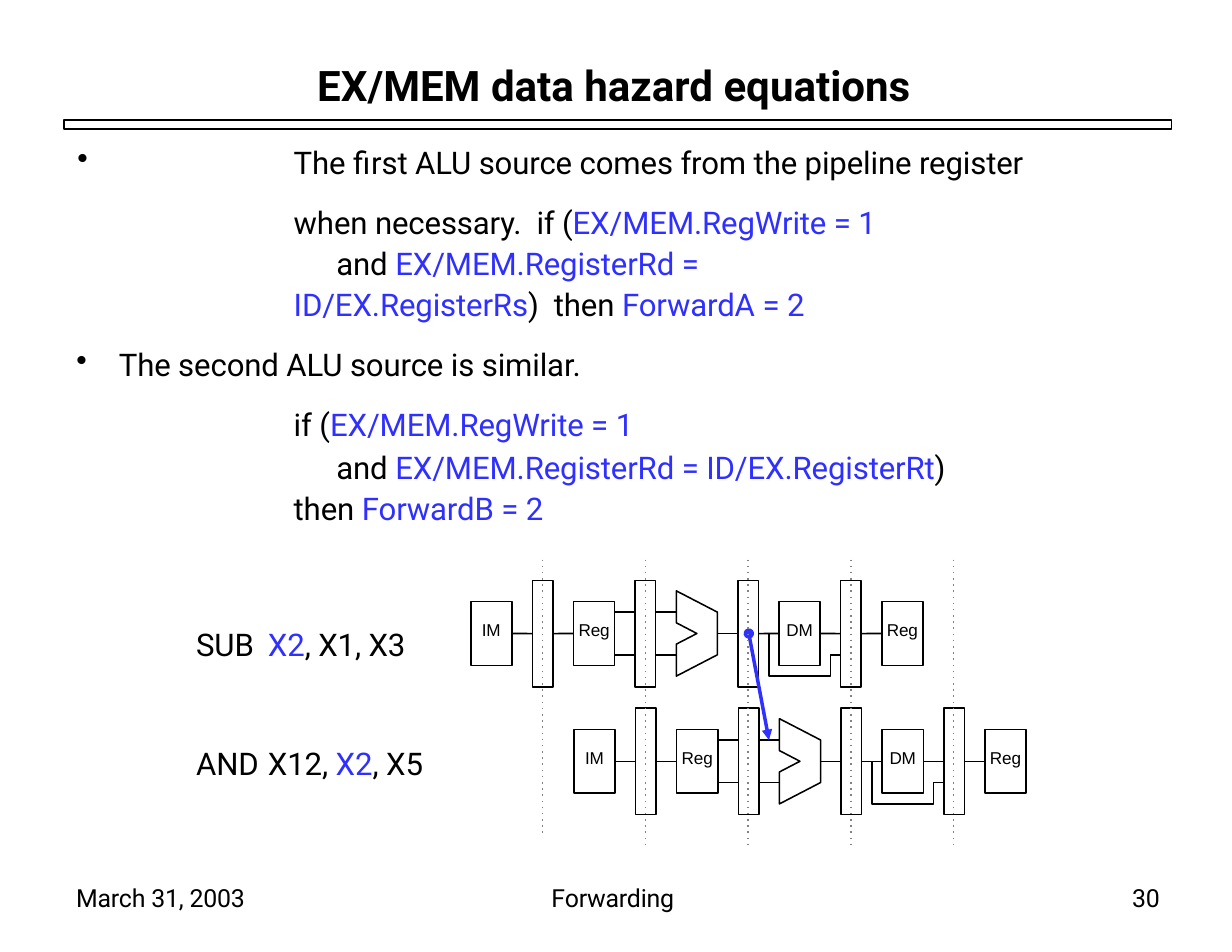
import lxml.etree
import pptx
import pptx.dml.color
import pptx.enum.dml
import pptx.enum.shapes
import pptx.enum.text
import pptx.oxml.ns
import pptx.util

Inches = pptx.util.Inches
Pt = pptx.util.Pt
qn = pptx.oxml.ns.qn
BLACK, BLUE, GREY = "000000", "2F2FFF", "828282"


def paint(target, color):
    target.rgb = pptx.dml.color.RGBColor.from_string(color)


def write(para, runs, size, font="Roboto", bold=False):
    for text, color in runs:
        span = para.add_run()
        span.text = text
        for name, value in {"size": Pt(size), "name": font, "bold": bold}.items():
            setattr(span.font, name, value)
        paint(span.font.color, color)
        if not bold:
            span.font._element.set("spc", "-10")


deck = pptx.Presentation()
deck.slide_width, deck.slide_height = Inches(10.99), Inches(8.49)
slide = deck.slides.add_slide(deck.slide_layouts[6])
shapes = slide.shapes
rectangle = pptx.enum.shapes.MSO_SHAPE.RECTANGLE
no_insets = dict.fromkeys(["margin_left", "margin_top", "margin_right", "margin_bottom"], 0)

outlines = [shapes.add_shape(rectangle, Inches(0.57), Inches(1.07), Inches(9.88), Inches(0.08))]

labels = [
    (2.83, 0.53, 5.4, 0.47, 27, True, [("EX/MEM data hazard equations", BLACK)]),
    (0.68, 7.87, 1.53, 0.29, 16, False, [("March 31, 2003", BLACK)]),
    (4.92, 7.87, 1.14, 0.29, 16, False, [("Forwarding", BLACK)]),
    (10.1, 7.87, 0.29, 0.29, 16, False, [("30", BLACK)]),
    (1.75, 5.58, 1.9, 0.34, 20, False, [("SUB\t", BLACK), ("X2", BLUE), (", X1, X3", BLACK)]),
    (1.75, 6.64, 2.05, 0.34, 20, False, [("AND\tX12, ", BLACK), ("X2", BLUE), (", X5", BLACK)]),
]
for left, top, width, height, size, bold, runs in labels:
    box = shapes.add_textbox(Inches(left), Inches(top), Inches(width), Inches(height))
    for name, value in no_insets.items():
        setattr(box.text_frame, name, value)
    para = box.text_frame.paragraphs[0]
    write(para, runs, size, bold=bold)
    if "\t" in runs[0][0]:
        tabs = lxml.etree.SubElement(para._p.get_or_add_pPr(), qn("a:tabLst"))
        lxml.etree.SubElement(tabs, qn("a:tab"), pos=str(Inches(0.64)), algn="l")

equations = [
    (1.95, -1.93, 0.4, 1.6, 0, True, [
        ("The first ALU source comes from the pipeline register when necessary.  if (", BLACK),
        ("EX/MEM.RegWrite = 1", BLUE)]),
    (1.95, 0.38, 2.1, 1.1, 0.1, False, [
        ("and ", BLACK), ("EX/MEM.RegisterRd = ID/EX.RegisterRs", BLUE),
        (")  then ", BLACK), ("ForwardA = 2", BLUE)]),
    (0.39, -0.38, 0, 1.0, 14.3, True, [("The second ALU source is similar.", BLACK)]),
    (1.95, 0, 0, 1.0, 14.3, False, [("if (", BLACK), ("EX/MEM.RegWrite = 1", BLUE)]),
    (1.95, 0.38, 1.3, Pt(26.4), 1.2, False, [
        ("and ", BLACK), ("EX/MEM.RegisterRd = ID/EX.RegisterRt", BLUE),
        (")  then ", BLACK), ("ForwardB = 2", BLUE)]),
]
body = shapes.add_textbox(Inches(0.67), Inches(1.08), Inches(9.22), Inches(3.62))
for name, value in {**no_insets, "word_wrap": True}.items():
    setattr(body.text_frame, name, value)
for index, (margin, indent, right, spacing, before, bullet, runs) in enumerate(equations):
    para = body.text_frame.add_paragraph() if index else body.text_frame.paragraphs[0]
    para.line_spacing, para.space_before = spacing, Pt(before)
    settings = para._p.get_or_add_pPr()
    for name, value in {"marL": margin, "indent": indent, "marR": right}.items():
        settings.set(name, str(Inches(value)))
    if bullet:
        lxml.etree.SubElement(settings, qn("a:buChar"), char="•")
    write(para, runs, 20)

unit = 0.55 / 3
half = 0.19
stages = [(0, 2, 0.57, "IM"), (3, 1, 0.95, ""), (5, 2, 0.57, "Reg"), (8, 1, 0.95, ""),
          (13, 1, 0.95, ""), (15, 2, 0.57, "DM"), (18, 1, 0.95, ""), (20, 2, 0.57, "Reg")]
alu = [(10, -2), (12, -1), (12, 1), (10, 2), (10, 0.5), (11, 0), (10, -0.5)]
bypass = [(14.5, 0), (14.5, 2), (17.5, 2), (17.5, 1), (18, 1)]
wires = [(2, 3, 0), (4, 5, 0), (7, 8, -1), (7, 8, 1), (9, 10, -1), (9, 10, 1),
         (12, 13, 0), (14, 15, 0), (17, 18, 0), (19, 20, 0)]

for origin, middle in [(4.2, 5.65), (5.12, 6.79)]:
    left_sides, right_sides = {}, {}
    for start, span_units, height, label in stages:
        stage = shapes.add_shape(rectangle, Inches(origin + start * unit), Inches(middle - height / 2),
                                 Inches(span_units * unit), Inches(height))
        left_sides[start] = right_sides[start + span_units] = stage
        outlines.append(stage)
        if label:
            frame = stage.text_frame
            for name, value in {**no_insets, "margin_bottom": Inches(0.06), "word_wrap": False,
                                "vertical_anchor": pptx.enum.text.MSO_ANCHOR.MIDDLE}.items():
                setattr(frame, name, value)
            frame.paragraphs[0].alignment = pptx.enum.text.PP_ALIGN.CENTER
            write(frame.paragraphs[0], [(label, BLACK)], 11, "Arial")
    for path_points, closed in [(alu, True), (bypass, False)]:
        points = [(Inches(origin + x * unit), Inches(middle + y * half)) for x, y in path_points]
        builder = shapes.build_freeform(*points[0])
        builder.add_line_segments(points[1:], close=closed)
        outlines.append(builder.convert_to_shape())
    for start, end, level in wires:
        height = Inches(middle + level * half)
        wire = shapes.add_connector(pptx.enum.shapes.MSO_CONNECTOR.STRAIGHT,
                                    Inches(origin + start * unit), height,
                                    Inches(origin + end * unit), height)
        if level == 0 and start in right_sides:
            wire.begin_connect(right_sides[start], 3)
        if level == 0 and end in left_sides:
            wire.end_connect(left_sides[end], 1)
        paint(wire.line.color, BLACK)
        wire.line.width = Pt(1)
        lxml.etree.SubElement(wire._element.spPr, qn("a:effectLst"))

for outline in outlines:
    outline.shadow.inherit = False
    outline.fill.background()
    paint(outline.line.color, BLACK)
    outline.line.width = Pt(1)

clock_lines = [(4.84 + 5 * unit * cycle, 4.99, 4.84 + 5 * unit * cycle, 7.54 if cycle else 7.45,
                GREY, 1, [("a:prstDash", {"val": "dot"})]) for cycle in range(5)]
forward = (6.68, 5.65, 6.86, 6.6, "3030FF", 2.25,
           [("a:headEnd", {"type": "oval"}), ("a:tailEnd", {"type": "triangle"})])
for x1, y1, x2, y2, color, width, details in [forward, *clock_lines]:
    line = shapes.add_connector(pptx.enum.shapes.MSO_CONNECTOR.STRAIGHT,
                                Inches(x1), Inches(y1), Inches(x2), Inches(y2))
    paint(line.line.color, color)
    line.line.width = Pt(width)
    for tag, attributes in details:
        lxml.etree.SubElement(line._element.spPr.find(qn("a:ln")), qn(tag), attributes)
    lxml.etree.SubElement(line._element.spPr, qn("a:effectLst"))

deck.save("out.pptx")
